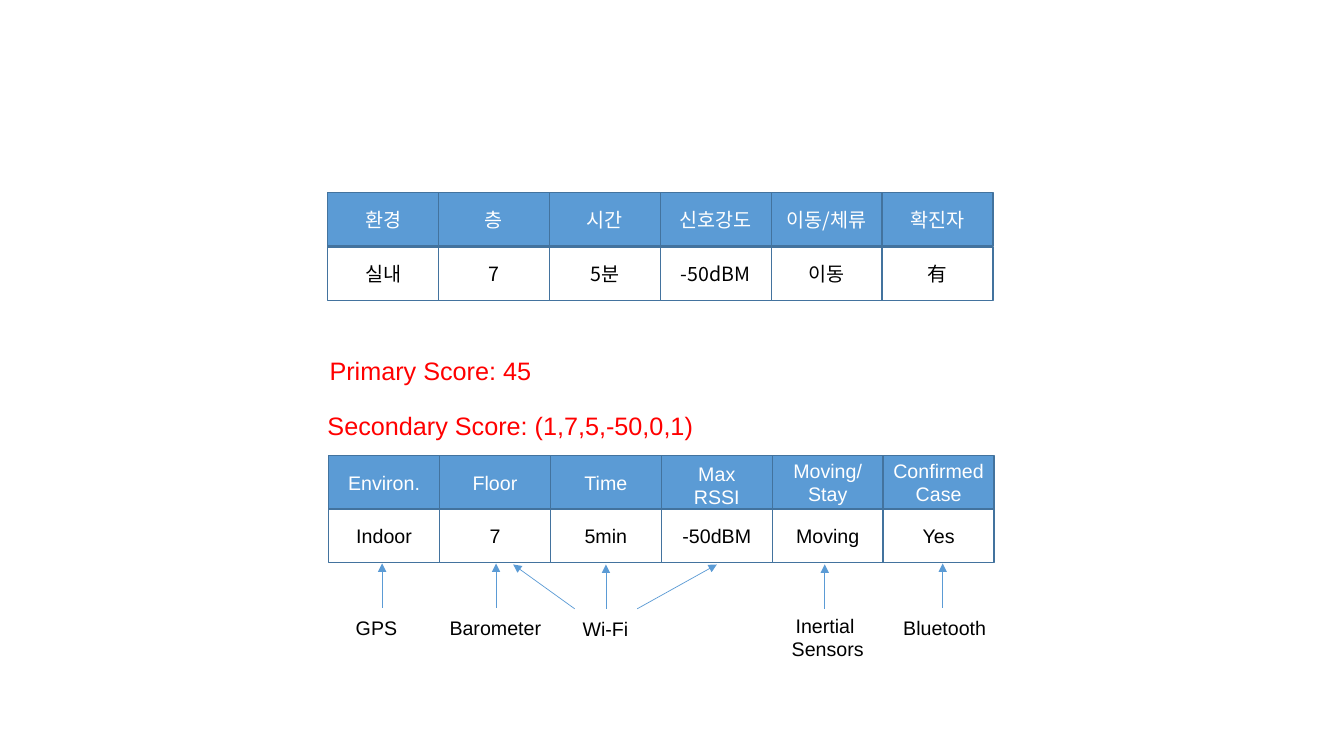
from lxml import etree
from pptx import Presentation
from pptx import util as u
from pptx.dml.color import RGBColor
from pptx.enum import shapes, text
from pptx.oxml.ns import qn

PX = 9144  # EMU per px, 100 px to the inch
THEME = {
    "blue": RGBColor.from_string("5B9BD5"),
    "edge": RGBColor.from_string("43739E"),
    "white": RGBColor.from_string("FFFFFF"),
    "black": RGBColor.from_string("000000"),
    "red": RGBColor.from_string("FF0000"),
    "body": u.Pt(14),
    "score": u.Pt(18),
    "latin": "Arial",
    "korean": "Noto Sans CJK KR",
}


def write(box, lines, align, **font):
    """Fill a box with one paragraph per line, all in the same font."""
    frame = box.text_frame
    for index, line in enumerate(lines.split("\n")):
        para = frame.add_paragraph() if index else frame.paragraphs[0]
        para.alignment = align
        span = para.add_run()
        span.text = line
        span.font.color.rgb = font["color"]
        for name in ("name", "size"):
            setattr(span.font, name, font[name])
        east_asian = etree.SubElement(span.font._element, qn("a:ea"))
        east_asian.set("typeface", font["name"])


deck = Presentation()
deck.slide_width, deck.slide_height = 1333 * PX, 750 * PX
page = deck.slides.add_slide(deck.slide_layouts[6])

# Two grids of grouped cells: left, row tops, font, header row, value row
CELL_W, CELL_H, TALL_H = 110, 53, 59
grids = [
    (325, (191, 245), THEME["korean"],
     ["환경", "층", "시간", "신호강도", "이동/체류", "확진자"],
     ["실내", "7", "5분", "-50dBM", "이동", "有"]),
    (326, (452, 505), THEME["latin"],
     ["Environ.", "Floor", "Time", "Max\nRSSI", "Moving/\nStay", "Confirmed\nCase"],
     ["Indoor", "7", "5min", "-50dBM", "Moving", "Yes"]),
]
row_colors = [(THEME["blue"], THEME["white"]), (THEME["white"], THEME["black"])]
for left, tops, font_name, *rows in grids:
    group = page.shapes.add_group_shape()
    for top, (fill, ink), labels in zip(tops, row_colors, rows):
        for column, label in enumerate(labels):
            height = TALL_H if label == "Max\nRSSI" else CELL_H
            cell = group.shapes.add_shape(
                shapes.MSO_SHAPE.RECTANGLE, (left + column * CELL_W) * PX,
                top * PX, CELL_W * PX, height * PX)
            cell.shadow.inherit = False
            cell.fill.solid()
            cell.fill.fore_color.rgb = fill
            cell.line.color.rgb = THEME["edge"]
            cell.line.width = u.Pt(1)
            frame_format = {"vertical_anchor": text.MSO_ANCHOR.MIDDLE, "word_wrap": True,
                            "margin_left": 5 * PX, "margin_right": 5 * PX}
            for name, value in frame_format.items():
                setattr(cell.text_frame, name, value)
            write(cell, label, text.PP_ALIGN.CENTER,
                  name=font_name, size=THEME["body"], color=ink)

# Scores and sensor names: wording, left, top, width, height
scores = [
    ("Primary Score: 45", 317, 348, 222, 40),
    ("Secondary Score: (1,7,5,-50,0,1)", 315, 402, 386, 40),
]
sensors = [
    ("GPS", 343, 606, 62, 34),
    ("Barometer", 436, 606, 112, 34),
    ("Wi-Fi", 568, 607, 66, 34),
    ("Inertial \nSensors", 775, 604, 92, 57),
    ("Bluetooth", 886, 606, 103, 34),
]
for captions, size, color in ((scores, THEME["score"], THEME["red"]),
                              (sensors, THEME["body"], THEME["black"])):
    for wording, *place in captions:
        box = page.shapes.add_textbox(*(length * PX for length in place))
        box.text_frame.word_wrap = False
        box.text_frame.auto_size = text.MSO_AUTO_SIZE.SHAPE_TO_FIT_TEXT
        align = text.PP_ALIGN.CENTER if "\n" in wording else text.PP_ALIGN.LEFT
        write(box, wording, align, name=THEME["latin"], size=size, color=color)

# Arrows from sensors up to the grid: start x, end x, end y
ARROW_RISE = 44
arrows = [(379, 379, 559), (492, 492, 559), (570, 509, 560), (601, 601, 560),
          (632, 711, 560), (818, 818, 560), (935, 935, 559)]
for start_x, end_x, end_y in arrows:
    arrow = page.shapes.add_connector(
        shapes.MSO_CONNECTOR.STRAIGHT, start_x * PX, (end_y + ARROW_RISE) * PX,
        end_x * PX, end_y * PX)
    arrow.line.color.rgb = THEME["blue"]
    arrow.line.width = u.Pt(0.5)
    properties = arrow._element.spPr
    etree.SubElement(properties.find(qn("a:ln")), qn("a:tailEnd")).set("type", "triangle")
    etree.SubElement(properties, qn("a:effectLst"))

deck.save("out.pptx")
